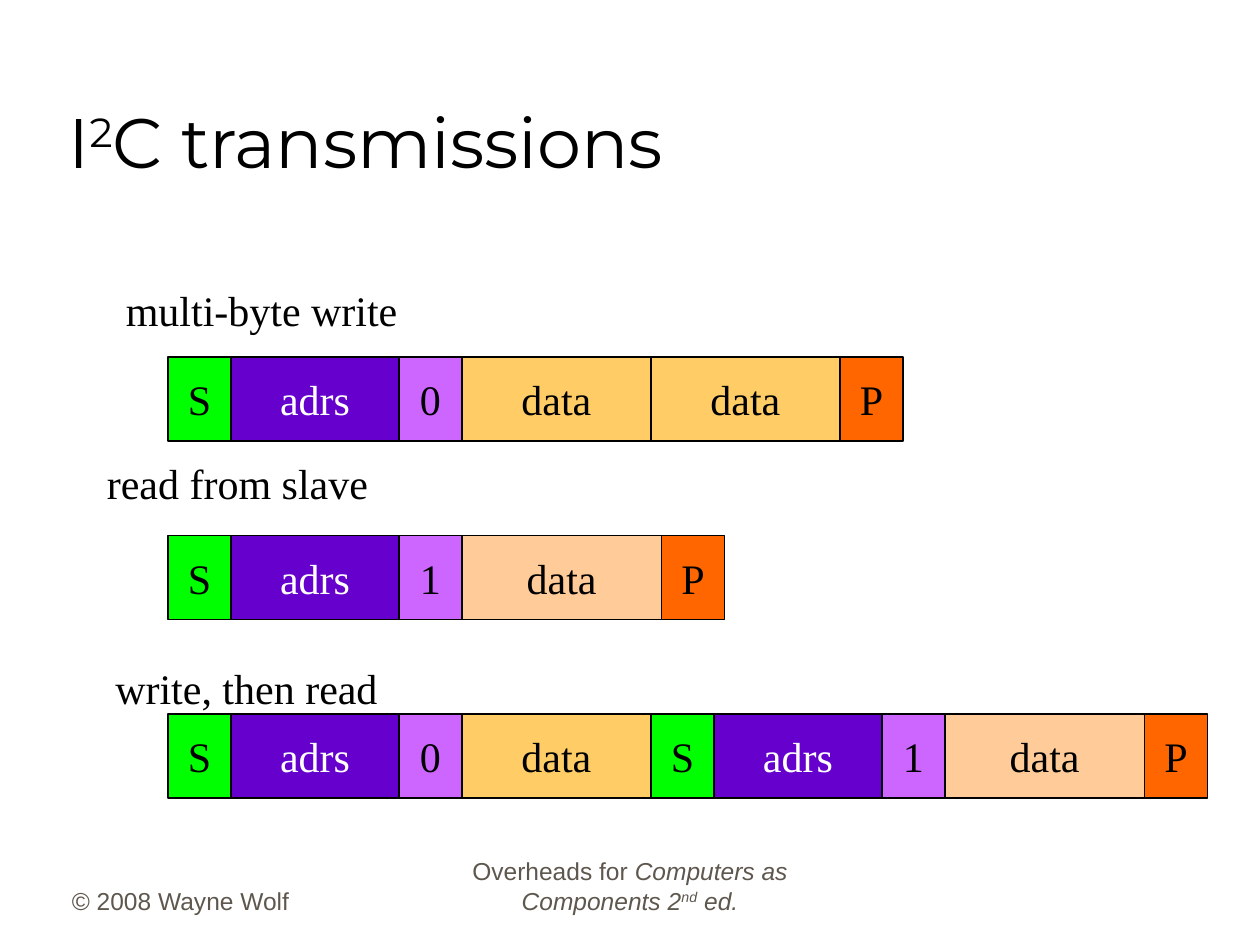
from collections import namedtuple

from pptx import Presentation
from pptx.dml.color import RGBColor
from pptx.enum.shapes import MSO_SHAPE
from pptx.enum.text import MSO_ANCHOR, MSO_AUTO_SIZE, PP_ALIGN
from pptx.util import Pt

BLACK = RGBColor(0x00, 0x00, 0x00)
WHITE = RGBColor(0xFF, 0xFF, 0xFF)
GREY = RGBColor(0x5E, 0x57, 0x4E)
GREEN = RGBColor(0x00, 0xFF, 0x00)
PURPLE = RGBColor(0x66, 0x00, 0xCC)
VIOLET = RGBColor(0xCC, 0x66, 0xFF)
YELLOW = RGBColor(0xFF, 0xCC, 0x66)
PEACH = RGBColor(0xFF, 0xCC, 0x99)
ORANGE = RGBColor(0xFF, 0x66, 0x00)

Box = namedtuple("Box", "left top width height")
Field = namedtuple("Field", "text width fill color", defaults=[BLACK])

START = Field("S", 36, GREEN)
ADDRESS = Field("adrs", 96, PURPLE, WHITE)
WRITE_BIT = Field("0", 36, VIOLET)
READ_BIT = Field("1", 36, VIOLET)
WRITE_DATA = Field("data", 108, YELLOW)
READ_DATA = Field("data", 114, PEACH)
STOP = Field("P", 36, ORANGE)

FRAME_LEFT = 96
FRAME_HEIGHT = 48
TRANSMISSIONS = [
    ("multi-byte write", Box(64.8, 159, 173, 36), 204,
     [START, ADDRESS, WRITE_BIT, WRITE_DATA, WRITE_DATA, STOP]),
    ("read from slave", Box(54, 258, 168, 36), 306,
     [START, ADDRESS, READ_BIT, READ_DATA, STOP]),
    ("write, then read", Box(58.8, 375, 168, 36), 408,
     [START, ADDRESS, WRITE_BIT, WRITE_DATA,
      START, ADDRESS, READ_BIT, READ_DATA, STOP]),
]


def add_run(paragraph, text, font_name, size, color, italic=None, superscript=False):
    """Append one formatted run to a paragraph."""
    run = paragraph.add_run()
    run.text = text
    run.font.name = font_name
    run.font.size = Pt(size)
    run.font.italic = italic
    run.font.color.rgb = color
    if superscript:
        run._r.get_or_add_rPr().set("baseline", "30000")


def add_title(slide, box):
    """Place the title with its raised digit."""
    title = slide.shapes.title
    title.left, title.top, title.width, title.height = map(Pt, box)
    frame = title.text_frame
    frame.vertical_anchor = MSO_ANCHOR.BOTTOM
    frame.word_wrap = True
    frame.auto_size = MSO_AUTO_SIZE.NONE
    paragraph = frame.paragraphs[0]
    paragraph.alignment = PP_ALIGN.LEFT
    for text, superscript in [("I", False), ("2", True), ("C transmissions", False)]:
        add_run(paragraph, text, "Montserrat", 40, BLACK, superscript=superscript)


def add_footer(slide, box, alignment, runs):
    """Place one footer text, given as (text, italic, superscript) runs."""
    frame = slide.shapes.add_textbox(*map(Pt, box)).text_frame
    frame.word_wrap = True
    frame.vertical_anchor = MSO_ANCHOR.BOTTOM
    paragraph = frame.paragraphs[0]
    paragraph.alignment = alignment
    for text, italic, superscript in runs:
        add_run(paragraph, text, "Arial", 14, GREY, italic, superscript)


def add_label(slide, box, text):
    """Place the one-line caption of a transmission."""
    frame = slide.shapes.add_textbox(*map(Pt, box)).text_frame
    frame.word_wrap = True
    add_run(frame.paragraphs[0], text, "Times New Roman", 24, BLACK)


def add_field(slide, box, field):
    """Draw one coloured field of a transmission."""
    shape = slide.shapes.add_shape(MSO_SHAPE.RECTANGLE, *map(Pt, box))
    shape.shadow.inherit = False
    shape.fill.solid()
    shape.fill.fore_color.rgb = field.fill
    shape.line.color.rgb = BLACK
    shape.line.width = Pt(0.75)
    frame = shape.text_frame
    frame.word_wrap = False
    frame.vertical_anchor = MSO_ANCHOR.MIDDLE
    paragraph = frame.paragraphs[0]
    paragraph.alignment = PP_ALIGN.CENTER
    add_run(paragraph, field.text, "Times New Roman", 24, field.color)


def add_transmission(slide, box, fields):
    """Draw the fields side by side from the left edge of the box."""
    left = box.left
    for field in fields:
        add_field(slide, Box(left, box.top, field.width, box.height), field)
        left += field.width


def main():
    """Build and save the slide."""
    presentation = Presentation()
    presentation.slide_width = Pt(720)
    presentation.slide_height = Pt(540)
    slide = presentation.slides.add_slide(presentation.slide_layouts[5])
    add_footer(slide, Box(34, 490.5, 150, 36), PP_ALIGN.LEFT,
               [("© 2008 Wayne Wolf", False, False)])
    add_footer(slide, Box(246, 490.5, 228, 36), PP_ALIGN.CENTER,
               [("Overheads for ", False, False),
                ("Computers as Components 2", True, False),
                ("nd", True, True),
                (" ed.", True, False)])
    add_title(slide, Box(32, 18, 612, 90))
    for text, label_box, top, fields in TRANSMISSIONS:
        add_label(slide, label_box, text)
        width = sum(field.width for field in fields)
        add_transmission(slide, Box(FRAME_LEFT, top, width, FRAME_HEIGHT), fields)
    presentation.save("out.pptx")


if __name__ == "__main__":
    main()
